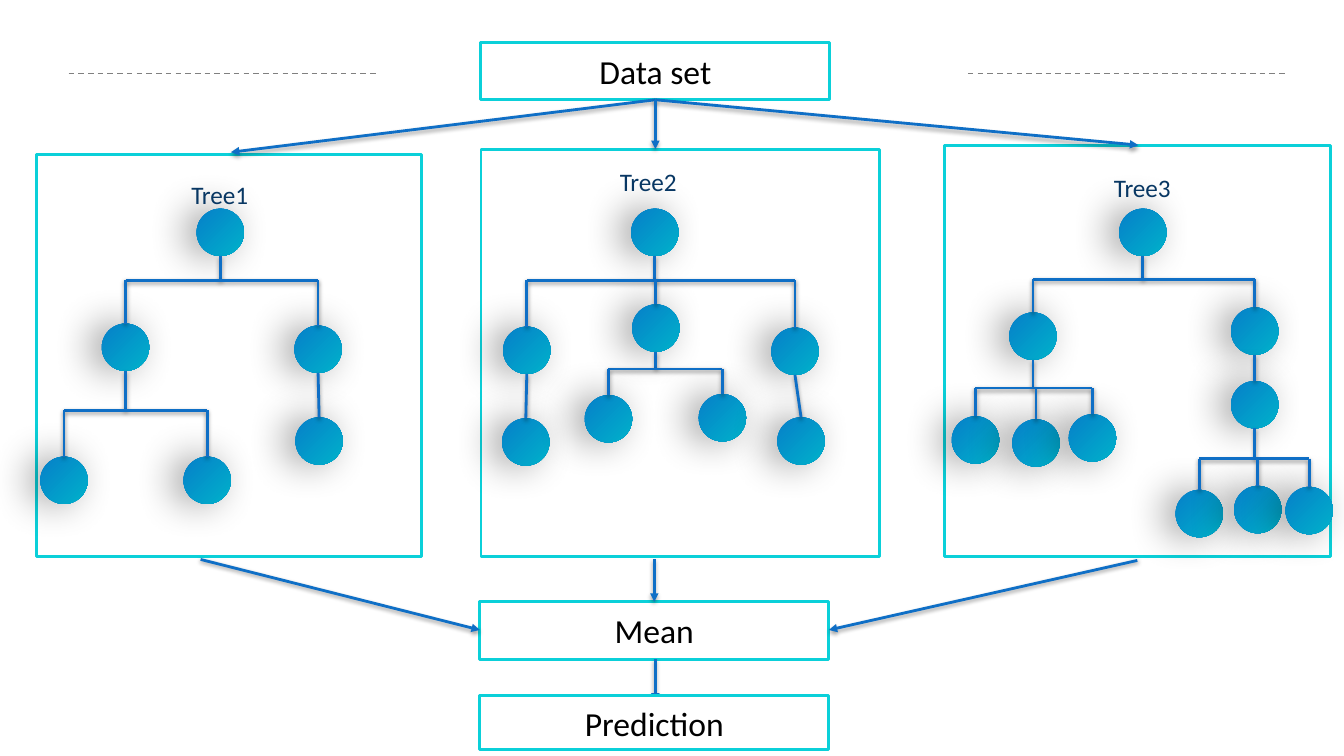
from dataclasses import dataclass

from pptx import Presentation
from pptx import util as u
from pptx.dml.color import RGBColor
from pptx.enum import dml, shapes, text
from pptx.oxml import parse_xml
from pptx.oxml.ns import nsdecls, qn


@dataclass(frozen=True)
class Theme:
    font: str = "Calibri"
    box_size: int = 24
    label_size: int = 18
    label_spacing: float = 1.3
    line_width: int = 2
    rule_width: int = 1
    text: str = "000000"
    label: str = "083763"
    paper: str = "FFFFFF"
    border: str = "0BD0D9"
    line: str = "0F6FC6"
    rule: str = "808080"
    node: tuple = ("067FC9", "00B2CA")
    node_shadow: tuple = (29, 8, 180, 40)
    line_shadow: tuple = (3.1, 1.6, 90, 38)


class Diagram:
    COLS, ROWS, NODE = 1333, 750, 47

    def __init__(self, prs, theme):
        self.theme = theme
        self.col = prs.slide_width / self.COLS
        self.row = prs.slide_height / self.ROWS
        self.s = prs.slides.add_slide(prs.slide_layouts[6])

    def place(self, x, y, w, h):
        return (round(x * self.col), round(y * self.row),
                round(w * self.col), round(h * self.row))

    def shadow(self, sp, blur, dist, angle, alpha):
        effects = sp._element.spPr.find(qn("a:effectLst"))
        effects.append(parse_xml(
            f'<a:outerShdw {nsdecls("a")} blurRad="{u.Pt(blur)}" dist="{u.Pt(dist)}" '
            f'dir="{angle * 60000}" algn="ctr" rotWithShape="0"><a:srgbClr val="000000">'
            f'<a:alpha val="{alpha * 1000}"/></a:srgbClr></a:outerShdw>'))

    def caption(self, sp, words, size, color):
        p = sp.text_frame.paragraphs[0]
        p.text = words
        p.alignment = text.PP_ALIGN.CENTER
        p.font.name = self.theme.font
        p.font.size = u.Pt(size)
        p.font.color.rgb = RGBColor.from_string(color)
        return p

    def box(self, x, y, w, h, words=""):
        sp = self.s.shapes.add_shape(shapes.MSO_SHAPE.RECTANGLE, *self.place(x, y, w, h))
        sp.shadow.inherit = False
        sp.fill.solid()
        sp.fill.fore_color.rgb = RGBColor.from_string(self.theme.paper)
        sp.line.color.rgb = RGBColor.from_string(self.theme.border)
        sp.line.width = u.Pt(self.theme.line_width)
        if words:
            sp.text_frame.vertical_anchor = text.MSO_ANCHOR.MIDDLE
            self.caption(sp, words, self.theme.box_size, self.theme.text)

    def label(self, x, y, words):
        sp = self.s.shapes.add_textbox(*self.place(x, y, 170, 46))
        sp.text_frame.word_wrap = True
        sp.text_frame.auto_size = text.MSO_AUTO_SIZE.SHAPE_TO_FIT_TEXT
        p = self.caption(sp, words, self.theme.label_size, self.theme.label)
        p.line_spacing = self.theme.label_spacing

    def connector(self, x1, y1, x2, y2, color, width):
        sp = self.s.shapes.add_connector(
            shapes.MSO_CONNECTOR.STRAIGHT, *self.place(x1, y1, x2, y2))
        sp.line.color.rgb = RGBColor.from_string(color)
        sp.line.width = u.Pt(width)
        sp._element.spPr.append(parse_xml(f'<a:effectLst {nsdecls("a")}/>'))
        return sp

    def line(self, x1, y1, x2, y2):
        sp = self.connector(x1, y1, x2, y2, self.theme.line, self.theme.line_width)
        self.shadow(sp, *self.theme.line_shadow)
        return sp

    def arrow(self, x1, y1, x2, y2):
        sp = self.line(x1, y1, x2, y2)
        sp._element.spPr.find(qn("a:ln")).append(
            parse_xml(f'<a:tailEnd {nsdecls("a")} type="triangle"/>'))

    def rule(self, x1, x2, y):
        sp = self.connector(x1, y, x2, y, self.theme.rule, self.theme.rule_width)
        sp.line.dash_style = dml.MSO_LINE.DASH

    def node(self, x, y):
        sp = self.s.shapes.add_shape(
            shapes.MSO_SHAPE.OVAL, *self.place(x, y, self.NODE, self.NODE))
        sp.shadow.inherit = False
        self.shadow(sp, *self.theme.node_shadow)
        sp.line.fill.background()
        sp.fill.gradient()
        sp.fill.gradient_angle = 315
        for position, (stop, color) in enumerate(zip(sp.fill.gradient_stops, self.theme.node)):
            stop.position = position
            stop.color.rgb = RGBColor.from_string(color)

    def branch(self, parent, children, bar):
        half = self.NODE / 2
        x, bottom = parent[0] + half, parent[1] + self.NODE
        tops = [(cx + half, cy) for cx, cy in children]
        if bar is None:
            self.line(x, bottom, *tops[0])
            return
        self.line(x, bottom, x, bar)
        self.line(tops[0][0], bar, tops[-1][0], bar)
        for cx, cy in tops:
            self.line(cx, bar, cx, cy)

    def tree(self, name, at, nodes, branches):
        for node in nodes:
            self.node(*node)
        for parent, children, bar in branches:
            self.branch(nodes[parent], [nodes[c] for c in children], bar)
        self.label(*at, name)


PANELS = [(477, 148, 395, 404), (36, 153, 382, 399), (937, 144, 383, 408)]

TREES = [
    ("Tree1", (133, 164),
     [(195, 207), (101, 321), (292, 323), (40, 453), (182, 453), (293, 414)],
     [(0, (1, 2), 278), (1, (3, 4), 407), (2, (5,), None)]),
    ("Tree2", (558, 151),
     [(626, 207), (499, 324), (627, 302), (765, 325),
      (498, 415), (580, 392), (693, 391), (771, 414)],
     [(0, (1, 2, 3), 278), (1, (4,), None), (2, (5, 6), 366), (3, (7,), None)]),
    ("Tree3", (1048, 157),
     [(1110, 207), (1001, 310), (1221, 305), (944, 413), (1004, 416), (1060, 411),
      (1221, 378), (1166, 486), (1224, 482), (1275, 483)],
     [(0, (1, 2), 277), (1, (3, 4, 5), 385), (2, (6,), None), (6, (7, 8, 9), 455)]),
]


def main():
    prs = Presentation()
    prs.slide_width, prs.slide_height = u.Inches(13.33), u.Inches(7.5)
    d = Diagram(prs, Theme())
    d.rule(68, 374, 73)
    d.rule(960, 1275, 73)
    d.box(477, 42, 346, 57, "Data set")
    for panel in PANELS:
        d.box(*panel)
    for end in [(229, 151), (1129, 144), (650, 148)]:
        d.arrow(650, 99, *end)
    for tree in TREES:
        d.tree(*tree)
    d.box(476, 597, 346, 57, "Mean")
    for ends in [(1128, 556, 822, 625), (199, 555, 476, 625),
                 (649, 555, 649, 597), (650, 654, 650, 696)]:
        d.arrow(*ends)
    d.box(476, 690, 346, 54, "Prediction")
    prs.save("out.pptx")


if __name__ == "__main__":
    main()
